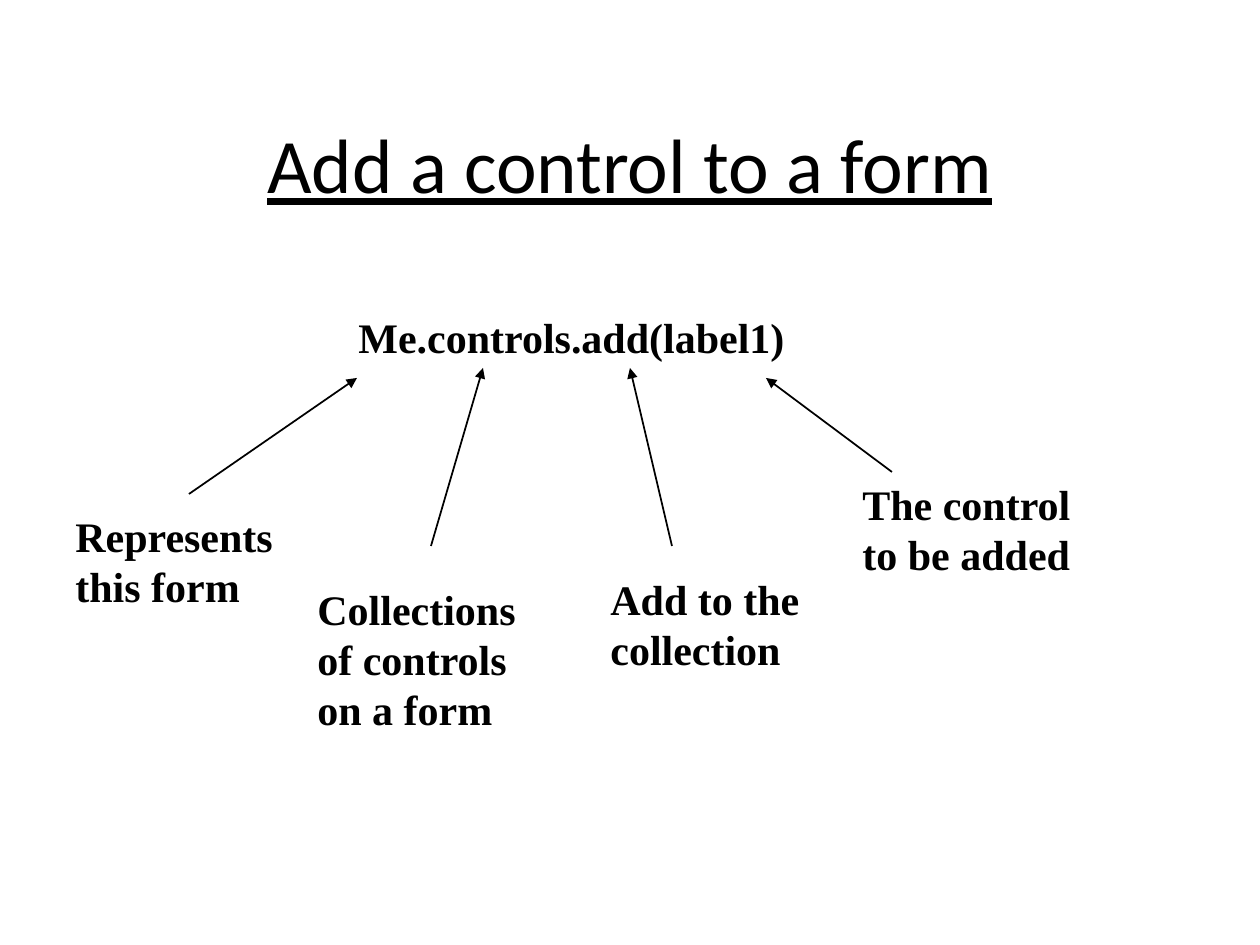
"""Build a slide that explains the parts of the call adding a control to a form."""
from pptx import Presentation
from pptx.dml.color import RGBColor
from pptx.enum.shapes import MSO_CONNECTOR
from pptx.enum.text import MSO_ANCHOR, PP_ALIGN
from pptx.util import Emu, Pt
from lxml.etree import SubElement
from pptx.oxml.ns import qn

PX = 914400 // 126
COLORS = {"ink": "000000", "paper": "FFFFFF"}
INK = RGBColor.from_string(COLORS["ink"])


def px(*values):
    return [Emu(v * PX) for v in values]


def add_text(s, box, text, font, size):
    tf = s.shapes.add_textbox(*px(*box)).text_frame
    tf.word_wrap = True
    p = tf.paragraphs[0]
    p.text = text
    p.font.name = font
    p.font.size = Pt(size)
    p.font.color.rgb = INK
    return tf


prs = Presentation()
prs.slide_width, prs.slide_height = px(1260, 945)
s = prs.slides.add_slide(prs.slide_layouts[6])
s.background.fill.solid()
s.background.fill.fore_color.rgb = RGBColor.from_string(COLORS["paper"])

tf = add_text(s, (63, 84, 1134, 158), "Add a control to a form", "Calibri", 44)
tf.vertical_anchor = MSO_ANCHOR.MIDDLE
tf.paragraphs[0].alignment = PP_ALIGN.CENTER
tf.paragraphs[0].font.underline = True

labels = [
    ("Me.controls.add(label1)", (346, 305, 514, 63)),
    ("Represents this form", (63, 504, 242, 113)),
    ("Collections of controls on a form", (305, 577, 262, 164)),
    ("Add to the collection", (598, 567, 273, 113)),
    ("The control to be added", (850, 472, 262, 113)),
]
for text, box in labels:
    tf = add_text(s, box, text, "Times New Roman", 24)
    tf.paragraphs[0].font.bold = True

arrows = [
    (189, 494, 357, 378),
    (431, 546, 483, 368),
    (672, 546, 630, 368),
    (892, 472, 766, 378),
]
for ends in arrows:
    sp = s.shapes.add_connector(MSO_CONNECTOR.STRAIGHT, *px(*ends))
    sp.line.color.rgb = INK
    sp.line.width = Pt(1)
    SubElement(sp.line._get_or_add_ln(), qn("a:tailEnd"), type="triangle")
    SubElement(sp._element.spPr, qn("a:effectLst"))

prs.save("out.pptx")
